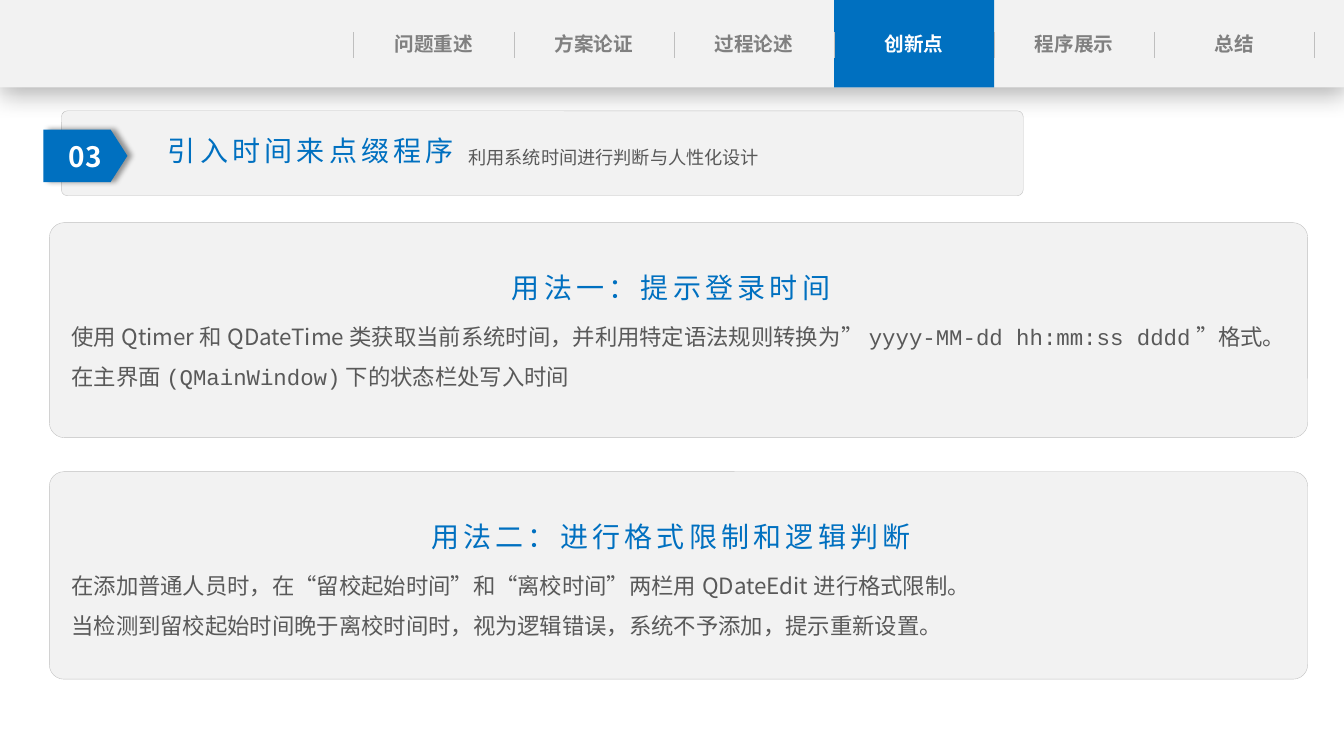
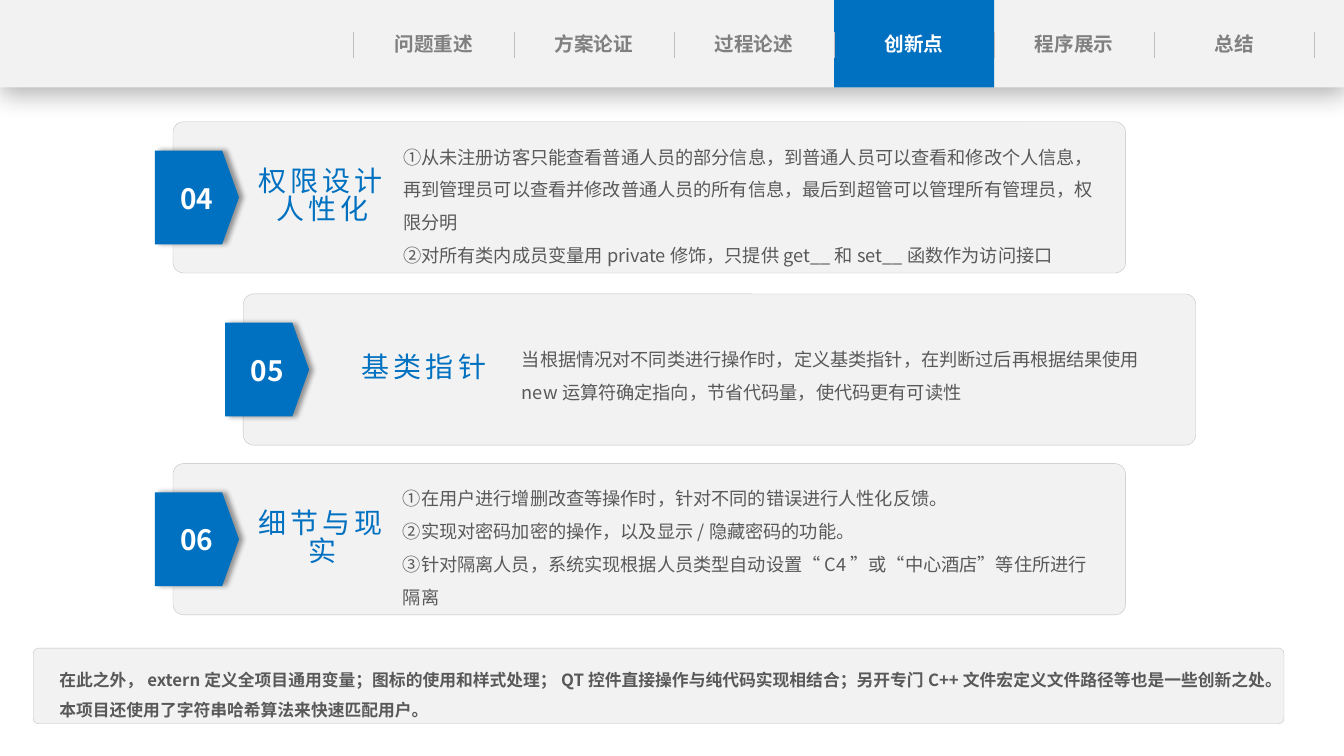
from lxml.etree import SubElement
from pptx import Presentation
from pptx.dml.color import RGBColor
from pptx.enum.lang import MSO_LANGUAGE_ID
from pptx.enum.shapes import MSO_CONNECTOR, MSO_SHAPE
from pptx.enum.text import MSO_ANCHOR, MSO_AUTO_SIZE, PP_ALIGN
from pptx.oxml.ns import qn
from pptx.util import Emu, Pt

COLUMNS, ROWS = 160, 90
UNIT = 76200  # one grid step, a twelfth of an inch

BLUE = RGBColor(0x00, 0x70, 0xC0)
PALE = RGBColor(0xF2, 0xF2, 0xF2)
RULE = RGBColor(0xBF, 0xBF, 0xBF)
GREY = RGBColor(0x80, 0x80, 0x80)
DARK = RGBColor(0x59, 0x59, 0x59)
WHITE = RGBColor(0xFF, 0xFF, 0xFF)

SANS = "Noto Sans CJK SC"
MONO = "Courier New"

CENTER = {"alignment": PP_ALIGN.CENTER}
OPEN_LINES = {"line_spacing": 1.5}
GROW = {"auto_size": MSO_AUTO_SIZE.SHAPE_TO_FIT_TEXT, "vertical_anchor": MSO_ANCHOR.TOP}
MIDDLE = {"auto_size": MSO_AUTO_SIZE.NONE, "vertical_anchor": MSO_ANCHOR.MIDDLE}
NO_SIDES = {"margin_left": 0, "margin_right": 0}

# frame, paragraph and font values, colour, letter spacing in points
STYLES = {
    "tab": (GROW | NO_SIDES, CENTER, {"size": Pt(14), "bold": True}, GREY, 0),
    "active tab": (GROW | NO_SIDES, CENTER, {"size": Pt(14), "bold": True}, WHITE, 0),
    "number": (GROW, CENTER, {"size": Pt(20), "bold": True}, WHITE, 0),
    "title": (MIDDLE, CENTER | {"line_spacing": 0.83}, {"size": Pt(20)}, BLUE, 3),
    "heading": (GROW, CENTER | OPEN_LINES, {"size": Pt(20)}, BLUE, 3),
    "body": (GROW, OPEN_LINES, {"size": Pt(16)}, DARK, 0),
    "detail": (GROW, OPEN_LINES, {"size": Pt(13)}, DARK, 0),
    "note": (GROW, OPEN_LINES, {"size": Pt(12), "bold": True}, DARK, 0),
}

TABS = ["问题重述", "方案论证", "过程论述", "创新点", "程序展示", "总结"]
ACTIVE_TAB = "创新点"
TAB_LEFT, TAB_WIDTH, BAND_HEIGHT = 42.12, 19.06, 10.4

USAGES = [
    (26.5, 25.6, "用法一：提示登录时间", [
        [("使用Qtimer和QDateTime类获取当前系统时间，并利用特定语法规则转换为", SANS),
         ("”yyyy-MM-dd hh:mm:ss dddd”格式。", MONO)],
        [("在主界面(QMainWindow)下的状态栏处写入时间", MONO)]]),
    (56.16, 24.7, "用法二：进行格式限制和逻辑判断", [
        "在添加普通人员时，在“留校起始时间”和“离校时间”两栏用QDateEdit进行格式限制。",
        "当检测到留校起始时间晚于离校时间时，视为逻辑错误，系统不予添加，提示重新设置。"]),
]

# number, left, top, title, title width, detail place within the card, lines
CARDS = [
    ("04", 20.6, 14.5, "权限设计人性化", 18.24, (26.2, 0.96, 85.2, 16.4), [
        "①从未注册访客只能查看普通人员的部分信息，到普通人员可以查看和修改个人信息，"
        "再到管理员可以查看并修改普通人员的所有信息，最后到超管可以管理所有管理员，权限分明",
        "②对所有类内成员变量用private修饰，只提供get__和set__函数作为访问接口"]),
    ("05", 28.95, 35, "基类指针", 25.6, (32, 4.56, 78.6, 8.64), [
        "当根据情况对不同类进行操作时，定义基类指针，在判断过后再根据结果使用"
        "new运算符确定指向，节省代码量，使代码更有可读性"]),
    ("06", 20.6, 55.2, "细节与现实", 18.24, (26.2, 0.96, 85.2, 16.4), [
        "①在用户进行增删改查等操作时，针对不同的错误进行人性化反馈。",
        "②实现对密码加密的操作，以及显示/隐藏密码的功能。",
        "③针对隔离人员，系统实现根据人员类型自动设置“C4”或“中心酒店”等住所进行隔离"]),
]

NOTES = [
    "在此之外，extern定义全项目通用变量；图标的使用和样式处理；QT控件直接操作与纯代码实现相结合；"
    "另开专门C++文件宏定义文件路径等也是一些创新之处。",
    "本项目还使用了字符串哈希算法来快速匹配用户。",
]


def grid(*steps):
    return [Emu(round(step * UNIT)) for step in steps]


def apply(target, values):
    for name, value in values.items():
        setattr(target, name, value)


class Deck:
    """Holds the presentation, its style and the page being drawn."""

    def __init__(self):
        self.deck = Presentation()
        self.deck.slide_width, self.deck.slide_height = grid(COLUMNS, ROWS)
        self.layout = self.deck.slide_layouts[1]
        self.page = None
        self.placeholders = {}

    def add_page(self):
        self.page = self.deck.slides.add_slide(self.layout)
        self.placeholders = {"title": self.page.shapes.title,
                             "body": self.page.placeholders[1]}

    def shape(self, kind, place, fill, line=None, shadow=None):
        """Draw a preset; shadow is opacity %, blur, distance and direction."""
        box = self.page.shapes.add_shape(kind, *grid(*place))
        box.shadow.inherit = False
        box.fill.solid()
        box.fill.fore_color.rgb = fill
        if line is None:
            box.line.fill.background()
        else:
            box.line.color.rgb = line
            box.line.width = Pt(0.25)
        if shadow:
            opacity, blur, distance, direction = shadow
            effects = box._element.spPr.find(qn("a:effectLst"))
            outer = SubElement(effects, qn("a:outerShdw"), blurRad=str(Pt(blur)),
                               dist=str(Pt(distance)), dir=str(direction * 60000),
                               algn="ctr", rotWithShape="0")
            color = SubElement(outer, qn("a:srgbClr"), val="000000")
            SubElement(color, qn("a:alpha"), val=str(opacity * 1000))
        return box

    def panel(self, *place):
        box = self.shape(MSO_SHAPE.ROUNDED_RECTANGLE, place, PALE, RULE)
        box.adjustments[0] = 0.07

    def divider(self, x, top, bottom):
        line = self.page.shapes.add_connector(MSO_CONNECTOR.STRAIGHT, *grid(x, top, x, bottom))
        line.line.color.rgb = RULE
        line.line.width = Pt(0.5)
        SubElement(line._element.spPr, qn("a:effectLst"))

    def text(self, place, style, lines, role=None):
        """Write lines; the first title and body of a page use its placeholders."""
        box = self.placeholders.pop(role, None)
        if box is None:
            box = self.page.shapes.add_textbox(*grid(*place))
        else:
            self.page.shapes._spTree.append(box._element)
            apply(box, dict(zip(("left", "top", "width", "height"), grid(*place))))
        frame_values, para_values, font_values, color, spacing = STYLES[style]
        frame = box.text_frame
        apply(frame, {"word_wrap": True} | frame_values)
        for index, line in enumerate(lines):
            para = frame.add_paragraph() if index else frame.paragraphs[0]
            if box.is_placeholder:
                properties = para._p.get_or_add_pPr()
                properties.set("marL", "0")
                properties.set("indent", "0")
                SubElement(properties, qn("a:buNone"))
            apply(para, {"space_before": Pt(0)} | para_values)
            for words, font_name in [(line, SANS)] if isinstance(line, str) else line:
                span = para.add_run()
                span.text = words
                apply(span.font, font_values | {
                    "name": font_name, "language_id": MSO_LANGUAGE_ID.SIMPLIFIED_CHINESE})
                span.font.color.rgb = color
                properties = span._r.get_or_add_rPr()
                SubElement(properties, qn("a:ea"), typeface=SANS)
                if spacing:
                    properties.set("spc", str(spacing * 100))

    def navigation(self):
        """Draw the tab band and move it to the layout that all pages share."""
        own = set(self.page.shapes._spTree)
        self.shape(MSO_SHAPE.RECTANGLE, (0, 0, COLUMNS, BAND_HEIGHT), PALE,
                   shadow=(29, 18, 4, 90))
        for index, label in enumerate(TABS):
            left = TAB_LEFT + index * TAB_WIDTH
            style = "tab"
            if label == ACTIVE_TAB:
                style = "active tab"
                self.shape(MSO_SHAPE.RECTANGLE, (left, 0, TAB_WIDTH, BAND_HEIGHT), BLUE)
            self.text((left, 3.24, TAB_WIDTH, 4.1), style, [label])
        for index in range(len(TABS) + 1):
            self.divider(TAB_LEFT + index * TAB_WIDTH, 3.84, 6.96)
        tree = self.layout.shapes._spTree
        for number, element in enumerate(list(self.page.shapes._spTree), 100):
            if element not in own:
                element.xpath(".//p:cNvPr")[0].set("id", str(number))
                tree.append(element)

    def tag(self, center, middle, height, number):
        """Draw a numbered pointer facing right."""
        width = 10
        box = self.shape(MSO_SHAPE.FLOWCHART_OFFPAGE_CONNECTOR,
                         (center - height / 2, middle - width / 2, height, width),
                         BLUE, shadow=(40, 4, 3, 0))
        box.rotation = 270
        self.text((center - 4.32, middle - 2.54, 8.64, 5.28), "number", [number])

    def card(self, place, number, title, title_width, tag_height, tag_drop=0):
        left, top, _, height = place
        middle = top + height / 2
        self.panel(*place)
        self.tag(left + 2.85, middle + tag_drop, tag_height, number)
        self.text((left + 8.7, middle - 5, title_width, 10), "title", [title], "title")


def time_page(deck):
    deck.card((7.32, 13.2, 114.5, 10.1), "03", "引入时间来点缀程序", 42, 6.24, 0.3)
    deck.text((54.6, 15.48, 80, 4.68), "detail", ["利用系统时间进行判断与人性化设计"])
    for top, height, heading, lines in USAGES:
        deck.panel(5.88, top, 149.8, height)
        deck.text((5.88, top + 3.12, 148, 6.6), "heading", [heading])
        deck.text((7.32, top + 9.72, 148, 10.3), "body", lines, "body")


def design_page(deck):
    for number, left, top, title, title_width, (x, y, width, height), lines in CARDS:
        deck.card((left, top, 113.4, 18), number, title, title_width, 11.16)
        deck.text((left + x, top + y, width, height), "detail", lines, "body")
    deck.panel(3.96, 77.16, 148.9, 9)
    deck.text((5.88, 77.88, 148, 8), "note", NOTES)


def main():
    deck = Deck()
    deck.add_page()
    deck.navigation()
    time_page(deck)
    deck.add_page()
    design_page(deck)
    deck.deck.save("out.pptx")


if __name__ == "__main__":
    main()
